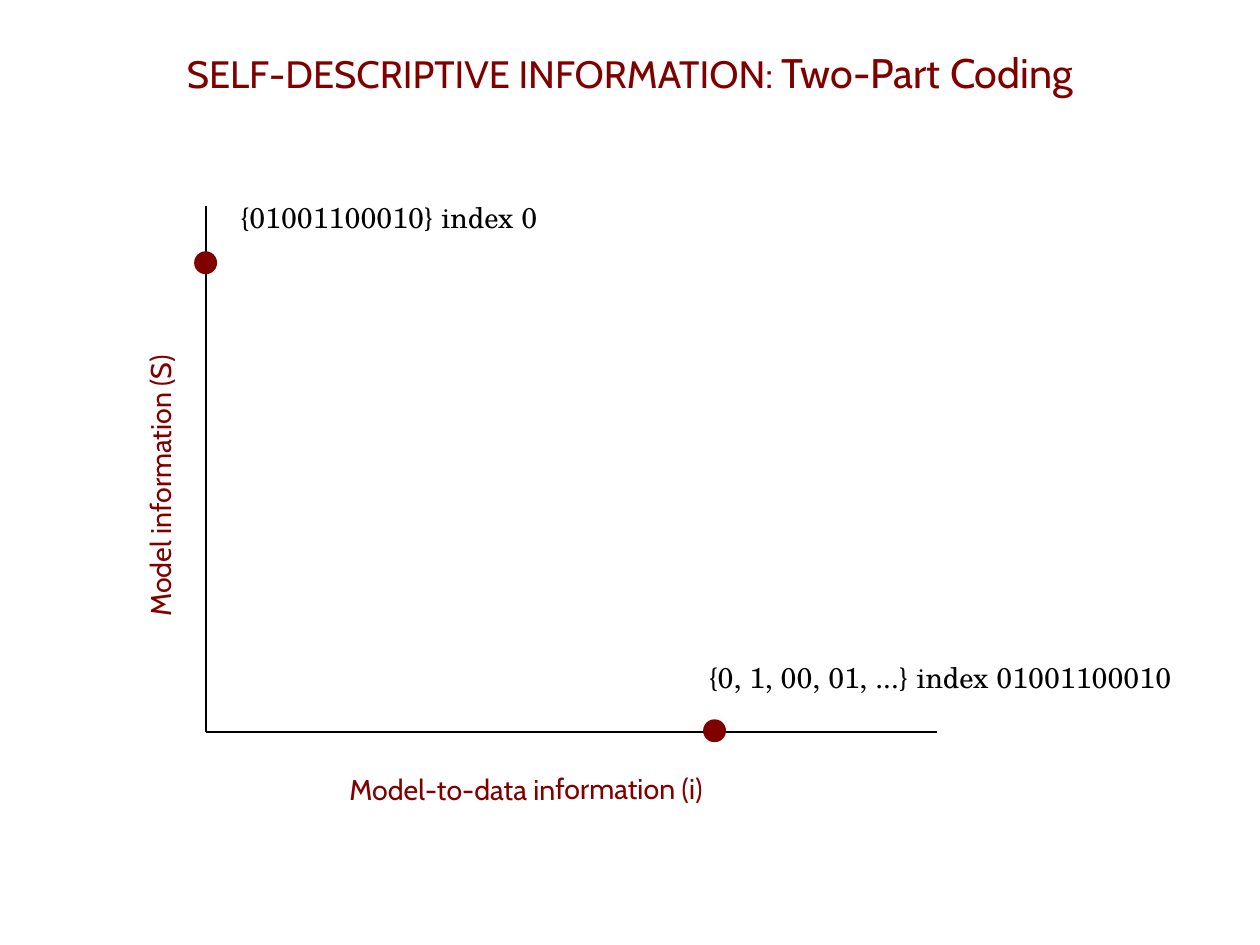
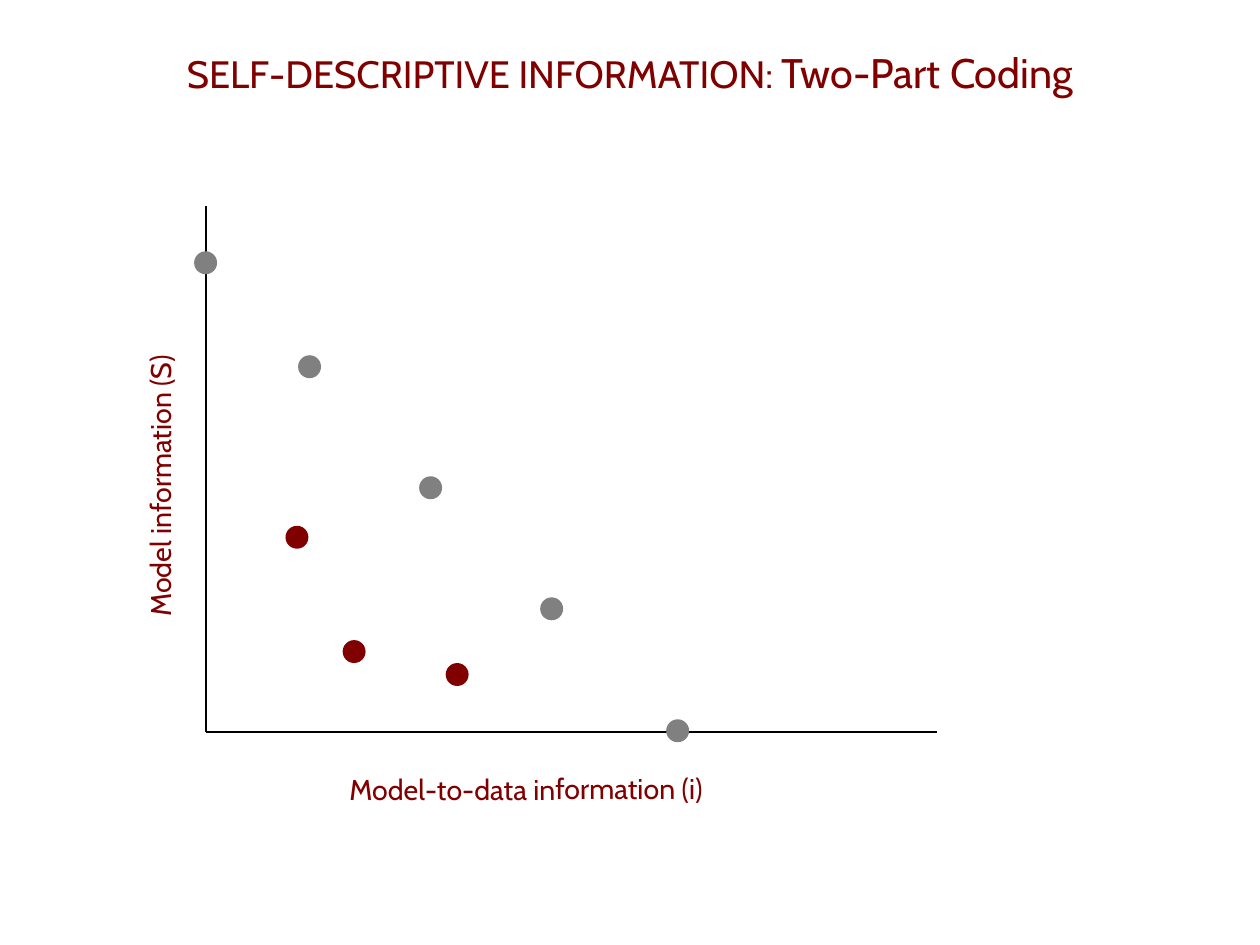
import pptx
import pptx.util
import pptx.dml.color
import pptx.enum.shapes
import pptx.enum.text
from lxml import etree

Cm, Pt = pptx.util.Cm, pptx.util.Pt
ALIGN = pptx.enum.text.PP_ALIGN

# Shared style, lengths in centimetres
MAROON, GREY, BLACK = "800000", "808080", "000000"
SANS, SERIF = "Cabin", "TeX Gyre Schola"
TITLE = [("SELF-DESCRIPTIVE INFORMATION: ", 24), ("Two-Part Coding", 26)]
LEFT, TOP, RIGHT, BOTTOM = 4.57, 4.57, 20.83, 16.26
DOT = 0.51


def color(value):
    return pptx.dml.color.RGBColor.from_string(value)


def add_label(s, text, box, font, value, align, rotation=0):
    sp = s.shapes.add_textbox(*[Cm(v) for v in box])
    sp.rotation = rotation
    tf = sp.text_frame
    tf.word_wrap = True
    tf.text = text
    p = tf.paragraphs[0]
    p.alignment = align
    r = p.runs[0]
    r.font.name, r.font.size = font, Pt(18)
    r.font.color.rgb = color(value)


# Dots as (centre x, centre y, colour)
STEP = 2.69
diagonal = [(6.88 + i * STEP, 8.15 + i * STEP, GREY) for i in range(3)]
slides = [
    {
        "dots": [(LEFT, 5.84, MAROON), (15.88, 16.24, MAROON)],
        "notes": [
            ("{01001100010} index 0", (5.08, 4.32, 8.13, 1.12)),
            ("{0, 1, 00, 01, ...} index 01001100010", (15.49, 14.53, 10.92, 1.12)),
        ],
    },
    {
        "dots": [(LEFT, 5.84, GREY), *diagonal, (15.06, 16.24, GREY),
                 (6.6, 11.94, MAROON), (7.87, 14.48, MAROON), (10.16, 14.99, MAROON)],
        "notes": [],
    },
]

prs = pptx.Presentation()
prs.slide_width, prs.slide_height = Cm(28), Cm(21)

for content in slides:
    s = prs.slides.add_slide(prs.slide_layouts[5])

    # Title
    sp = s.shapes.title
    sp.left, sp.top, sp.width, sp.height = Cm(1.4), Cm(0.97), Cm(25.2), Cm(1.24)
    tf = sp.text_frame
    tf.margin_left = tf.margin_right = tf.margin_top = tf.margin_bottom = 0
    tf.vertical_anchor = pptx.enum.text.MSO_ANCHOR.MIDDLE
    tf.auto_size = pptx.enum.text.MSO_AUTO_SIZE.NONE
    p = tf.paragraphs[0]
    p.alignment = ALIGN.CENTER
    for text, size in TITLE:
        r = p.add_run()
        r.text = text
        r.font.name, r.font.size = SANS, Pt(size)
        r.font.color.rgb = color(MAROON)

    # Axes
    for x, y in [(LEFT, TOP), (RIGHT, BOTTOM)]:
        line = s.shapes.add_connector(pptx.enum.shapes.MSO_CONNECTOR.STRAIGHT,
                                      Cm(x), Cm(y), Cm(LEFT), Cm(BOTTOM))
        line.line.color.rgb = color(BLACK)
        line.line.width = Pt(1.45)
        etree.SubElement(line._element.spPr, pptx.oxml.ns.qn("a:effectLst"))

    # Axis labels
    add_label(s, "Model information (S)", (-0.08, 10.24, 7.37, 1.12),
              SANS, MAROON, ALIGN.CENTER, 270)
    add_label(s, "Model-to-data information (i)", (7.37, 17.02, 8.64, 1.98),
              SANS, MAROON, ALIGN.CENTER, 359.8)

    # Dots
    for x, y, value in content["dots"]:
        sp = s.shapes.add_shape(pptx.enum.shapes.MSO_SHAPE.OVAL, Cm(x - DOT / 2),
                                Cm(y - DOT / 2), Cm(DOT), Cm(DOT))
        sp.shadow.inherit = False
        sp.fill.solid()
        sp.fill.fore_color.rgb = color(value)
        sp.line.fill.background()

    # Notes beside the dots
    for text, box in content["notes"]:
        add_label(s, text, box, SERIF, BLACK, ALIGN.LEFT)

prs.save("out.pptx")
